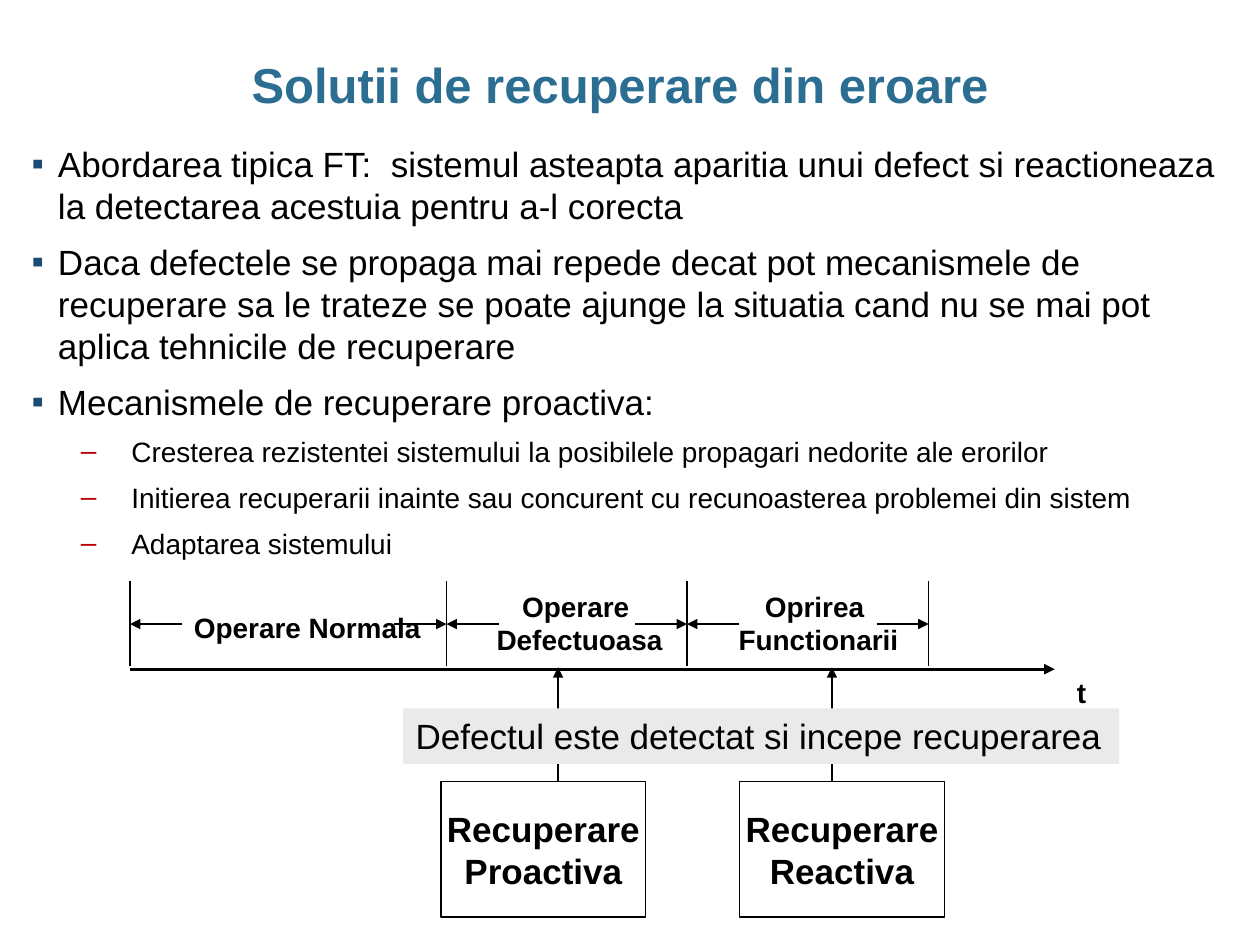
from lxml.etree import SubElement as Sub
from pptx import Presentation
from pptx.dml.color import RGBColor
from pptx.enum.shapes import MSO_CONNECTOR as Link, MSO_SHAPE as Kind
from pptx.enum.text import MSO_ANCHOR as Anchor, PP_ALIGN as Align
from pptx.oxml.ns import qn
from pptx.util import Cm, Pt

BLACK = "000000"
BASE = {"name": "Arial", "bold": False}
TITLE = {**BASE, "size": Pt(28), "bold": True}
LABEL = {**BASE, "size": Pt(16), "bold": True}
BLOCK = {**BASE, "size": Pt(20), "bold": True}
NOTE = {**BASE, "size": Pt(20)}

# Per level: mark, mark colour, text indent, hanging indent (cm), size, gap (pt)
LEVELS = [("▪", "1C4C74", 0.53, 0.53, 20, 8),
          ("‒", "BE0009", 2.01, 1.02, 16, 7)]
POINTS = [
    (0, "Abordarea tipica FT:  sistemul asteapta aparitia unui defect si "
        "reactioneaza la detectarea acestuia pentru a-l corecta"),
    (0, "Daca defectele se propaga mai repede decat pot mecanismele de "
        "recuperare sa le trateze se poate ajunge la situatia cand nu se "
        "mai pot aplica tehnicile de recuperare"),
    (0, "Mecanismele de recuperare proactiva:"),
    (1, "Cresterea rezistentei sistemului la posibilele propagari nedorite "
        "ale erorilor"),
    (1, "Initierea recuperarii inainte sau concurent cu recunoasterea "
        "problemei din sistem"),
    (1, "Adaptarea sistemului"),
]


def tint(code):
    return RGBColor.from_string(code)


def style(font, form, color=BLACK):
    for key, value in form.items():
        setattr(font, key, value)
    font.color.rgb = tint(color)


def write(frame, lines, form, align=Align.CENTER, color=BLACK):
    for i, line in enumerate(lines):
        para = frame.add_paragraph() if i else frame.paragraphs[0]
        para.text = line
        para.alignment = align
        style(para.font, form, color)


def frame_in(slide, box, wrap=False):
    frame = slide.shapes.add_textbox(*map(Cm, box)).text_frame
    frame.word_wrap = wrap
    if wrap:
        frame.margin_left = frame.margin_right = 0
    return frame


def rule(slide, start, end, head=False, width=0.75):
    line = slide.shapes.add_connector(Link.STRAIGHT, *map(Cm, start + end))
    line.line.color.rgb = tint(BLACK)
    line.line.width = Pt(width)
    if head:
        Sub(line.line._get_or_add_ln(), qn("a:tailEnd"), type="triangle")
    Sub(line._element.spPr, qn("a:effectLst"))


def panel(slide, box, fill, edge=False):
    shape = slide.shapes.add_shape(Kind.RECTANGLE, *map(Cm, box))
    shape.shadow.inherit = False
    shape.fill.solid()
    shape.fill.fore_color.rgb = tint(fill)
    if edge:
        shape.line.color.rgb = tint(BLACK)
        shape.line.width = Pt(0.75)
    else:
        shape.line.fill.background()
    shape.text_frame.word_wrap = False
    return shape.text_frame


def title(slide, box):
    frame = frame_in(slide, box, True)
    write(frame, ["Solutii de recuperare din eroare"], TITLE, color="2C6D92")
    frame.paragraphs[0].line_spacing = 0.95


def bullets(slide, box):
    frame = frame_in(slide, box, True)
    for i, (level, text) in enumerate(POINTS):
        mark, color, left, hang, size, gap = LEVELS[level]
        para = frame.add_paragraph() if i else frame.paragraphs[0]
        para.text = text
        para.level = level
        para.space_before = Pt(gap if i else 0)
        props = para._p.get_or_add_pPr()
        props.set("marL", str(Cm(left)))
        props.set("indent", str(-Cm(hang)))
        Sub(Sub(props, qn("a:buClr")), qn("a:srgbClr"), val=color)
        Sub(props, qn("a:buFont"), typeface="Arial")
        Sub(props, qn("a:buChar"), char=mark)
        style(para.font, {**BASE, "size": Pt(size)})


def phases(slide, box):
    """Time axis cut by ticks into named phases."""
    x, y, width, height = box
    ticks = [x + step for step in (0, 6.38, 11.23, 16.1)]
    labels = [(1.04, 0.46, 5.13, ["Operare Normala"]),
              (0.74, 0.03, 3.89, ["Operare ", "Defectuoasa"]),
              (0.76, 0.03, 3.78, ["Oprirea ", "Functionarii"])]
    mid, reach = y + 0.86, 1.05
    for tick in ticks:
        rule(slide, (tick, y), (tick, y + 1.7))
    for left, right, (dx, dy, wide, lines) in zip(ticks, ticks[1:], labels):
        tall = 0.94 if len(lines) == 1 else 1.63
        align = Align.LEFT if len(lines) == 1 else Align.CENTER
        frame = frame_in(slide, (left + dx, y + dy, wide, tall))
        write(frame, lines, LABEL, align)
        rule(slide, (left + reach, mid), (left, mid), True)
        rule(slide, (right - reach, mid), (right, mid), True)
    base = y + height
    rule(slide, (x, base), (x + width, base), True, 1.5)
    write(frame_in(slide, (x + width + 0.2, base, 0.71, 0.94)), ["t"],
          LABEL, Align.LEFT)


def recovery(slide, box):
    """Two recovery blocks that point up at the axis, behind a caption."""
    x, y, width, height = box
    top = y + 2.3
    for dx, stem, name in ((0.76, 3.12, "Proactiva"),
                           (6.78, 8.64, "Reactiva")):
        frame = panel(slide, (x + dx, top, 4.13, height - 2.3),
                      "FFFFFF", True)
        frame.vertical_anchor = Anchor.MIDDLE
        write(frame, ["Recuperare", name], BLOCK)
        rule(slide, (x + stem, top), (x + stem, y), True)
    frame = panel(slide, (x, y + 0.83, width, 1.12), "EAEAEA")
    frame.vertical_anchor = Anchor.TOP
    write(frame, ["Defectul este detectat si incepe recuperarea"], NOTE,
          Align.LEFT)


def main():
    deck = Presentation()
    deck.slide_width, deck.slide_height = Cm(25.4), Cm(19.05)
    slide = deck.slides.add_slide(deck.slide_layouts[6])
    title(slide, (1.07, 1.07, 22.86, 1.35))
    phases(slide, (2.62, 11.72, 18.64, 1.77))
    recovery(slide, (8.13, 13.45, 14.43, 5.04))
    bullets(slide, (0.64, 2.74, 24.13, 14.81))
    deck.save("out.pptx")


if __name__ == "__main__":
    main()
